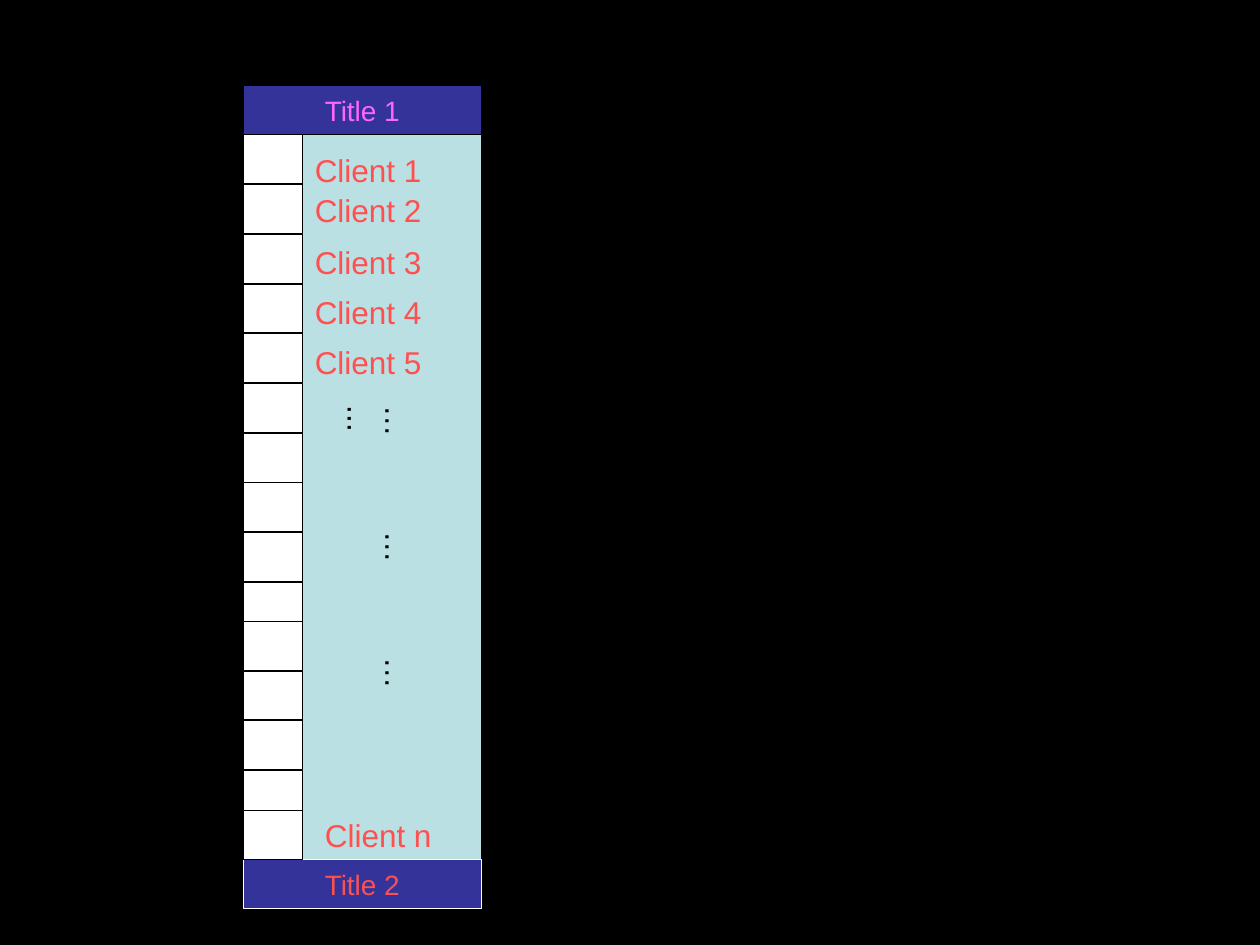
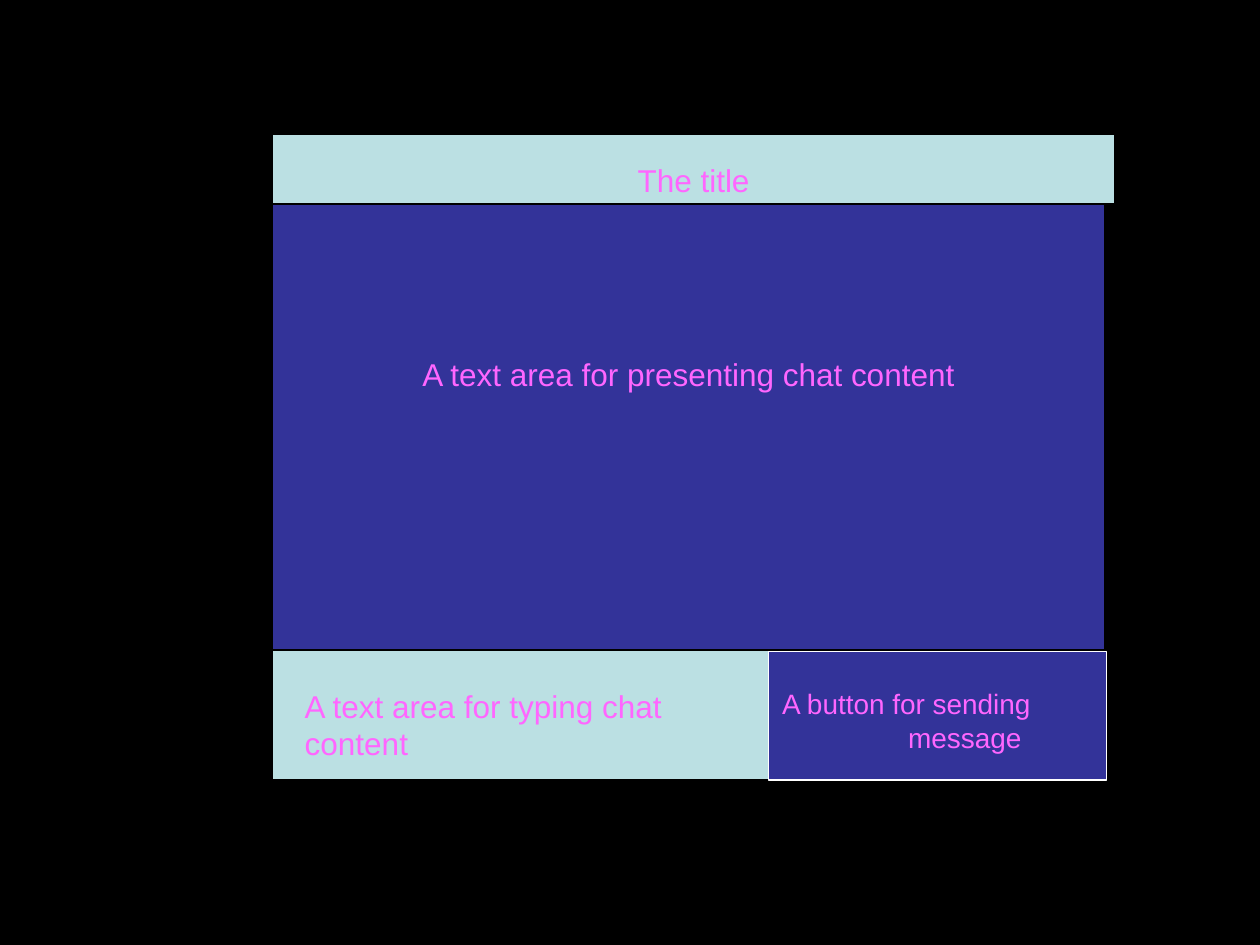
from dataclasses import dataclass

from lxml.etree import SubElement
from pptx import Presentation
from pptx.dml.color import RGBColor as Rgb
from pptx.enum.shapes import MSO_SHAPE as Kind
from pptx.enum.text import MSO_ANCHOR as Anchor, PP_ALIGN as Align
from pptx.oxml.ns import qn
from pptx.util import Inches, Pt


@dataclass(frozen=True)
class Theme:
    font: str = "Arial"
    back: str = "000000"
    ink: str = "000000"
    pale: str = "BBE0E3"
    deep: str = "333399"
    white: str = "FFFFFF"
    pink: str = "FF66FF"
    coral: str = "FF5050"
    small: int = 16
    large: int = 18
    rule: float = 0.75


look = Theme()

LEFT, TOP, WIDE, BAR = 1.93, 0.68, 1.89, 0.39
CELL = 0.47
FOOT = 6.82
BODY = TOP + BAR
PITCH = (4.62 - BODY) / 9
RUNS = [(BODY, 10), (4.93, 4), (FOOT - BAR, 1)]
TITLES = [
    ("Title 1", TOP, look.ink, look.pink),
    ("Title 2", FOOT, look.white, look.coral),
]
CLIENTS = [
    ("Client 1", 2.4, 1.15),
    ("Client 2", 2.4, 1.47),
    ("Client 3", 2.4, 1.88),
    ("Client 4", 2.4, 2.28),
    ("Client 5", 2.4, 2.67),
    ("Client n", 2.48, 6.43),
]
DOTS = "…\t…\t…\t...\t"

CHAT = (2.16, 1.07, 6.61, 5.12)
VIEW = (2.16, 1.07, 6.61, 4.09)
HEAD = (2.16, 1.07, 6.69, 0.55)
SEND = (6.1, 5.17, 2.68, 1.02)
SEND_TEXT = "A button for sending\n\tmessage"
VIEW_TEXT = "A text area for presenting chat content"
TYPE_TEXT = "A text area for typing chat content"
HEAD_TEXT = "The title"


def write(shape, text, color=look.pink, size=look.large, align=Align.LEFT,
          anchor=Anchor.TOP, pad=(0.1, 0.05, 0.1, 0.05), vert=None):
    frame = shape.text_frame
    frame.word_wrap = True
    frame.vertical_anchor = anchor
    (frame.margin_left, frame.margin_top,
     frame.margin_right, frame.margin_bottom) = map(Inches, pad)
    if vert:
        frame._txBody.bodyPr.set("vert", vert)
    frame.text = text
    for para in frame.paragraphs:
        if "\t" in text:
            stops = SubElement(para._p.get_or_add_pPr(), qn("a:tabLst"))
            for step in range(8):
                SubElement(stops, qn("a:tab"), pos=str(Inches(step)), algn="l")
        para.alignment = align
        for run in para.runs:
            run.font.name = look.font
            run.font.size = Pt(size)
            run.font.color.rgb = Rgb.from_string(color)


def block(slide, kind, area, fill, line=look.ink):
    shape = slide.shapes.add_shape(kind, *map(Inches, area))
    shape.shadow.inherit = False
    shape.fill.solid()
    shape.fill.fore_color.rgb = Rgb.from_string(fill)
    shape.line.color.rgb = Rgb.from_string(line)
    shape.line.width = Pt(look.rule)
    return shape


def label(slide, area, text, **form):
    write(slide.shapes.add_textbox(*map(Inches, area)), text, **form)


def page(deck):
    slide = deck.slides.add_slide(deck.slide_layouts[6])
    slide.background.fill.solid()
    slide.background.fill.fore_color.rgb = Rgb.from_string(look.back)
    return slide


def client_list(deck):
    slide = page(deck)
    kind = Kind.FLOWCHART_PROCESS
    block(slide, kind, (LEFT, TOP, WIDE, FOOT + BAR - TOP), look.pale)
    for text, top, line, color in TITLES:
        bar = block(slide, kind, (LEFT, top, WIDE, BAR), look.deep, line)
        write(bar, text, color=color, size=look.small,
              align=Align.CENTER, anchor=Anchor.MIDDLE)
    for start, count in RUNS:
        for row in range(count):
            top = start + row * PITCH
            block(slide, kind, (LEFT, top, CELL, BAR), look.white)
    for text, left, top in CLIENTS:
        label(slide, (left, top, 1.1, 0.4), text, color=look.coral)
    label(slide, (2.56, 3.12, 0.8, 3.31), DOTS, color=look.ink,
          pad=(0.05, 0.1, 0.05, 0.1), vert="eaVert")


def chat_window(deck):
    slide = page(deck)
    kind = Kind.RECTANGLE
    mid = {"align": Align.CENTER, "anchor": Anchor.MIDDLE}
    block(slide, kind, CHAT, look.pale)
    view = block(slide, kind, VIEW, look.deep)
    write(view, VIEW_TEXT, pad=(0.1, 0.05, 0.1, 0.34), **mid)
    block(slide, kind, SEND, look.deep, look.white)
    label(slide, (6.11, 5.4, 2.24, 0.64), SEND_TEXT, size=look.small)
    label(slide, (2.32, 5.4, 3.39, 0.7), TYPE_TEXT)
    head = block(slide, kind, HEAD, look.pale)
    write(head, HEAD_TEXT, pad=(0.1, 0.21, 0.1, 0.05), **mid)


def main():
    deck = Presentation()
    deck.slide_width, deck.slide_height = Inches(10), Inches(7.5)
    client_list(deck)
    chat_window(deck)
    deck.save("out.pptx")


if __name__ == "__main__":
    main()
